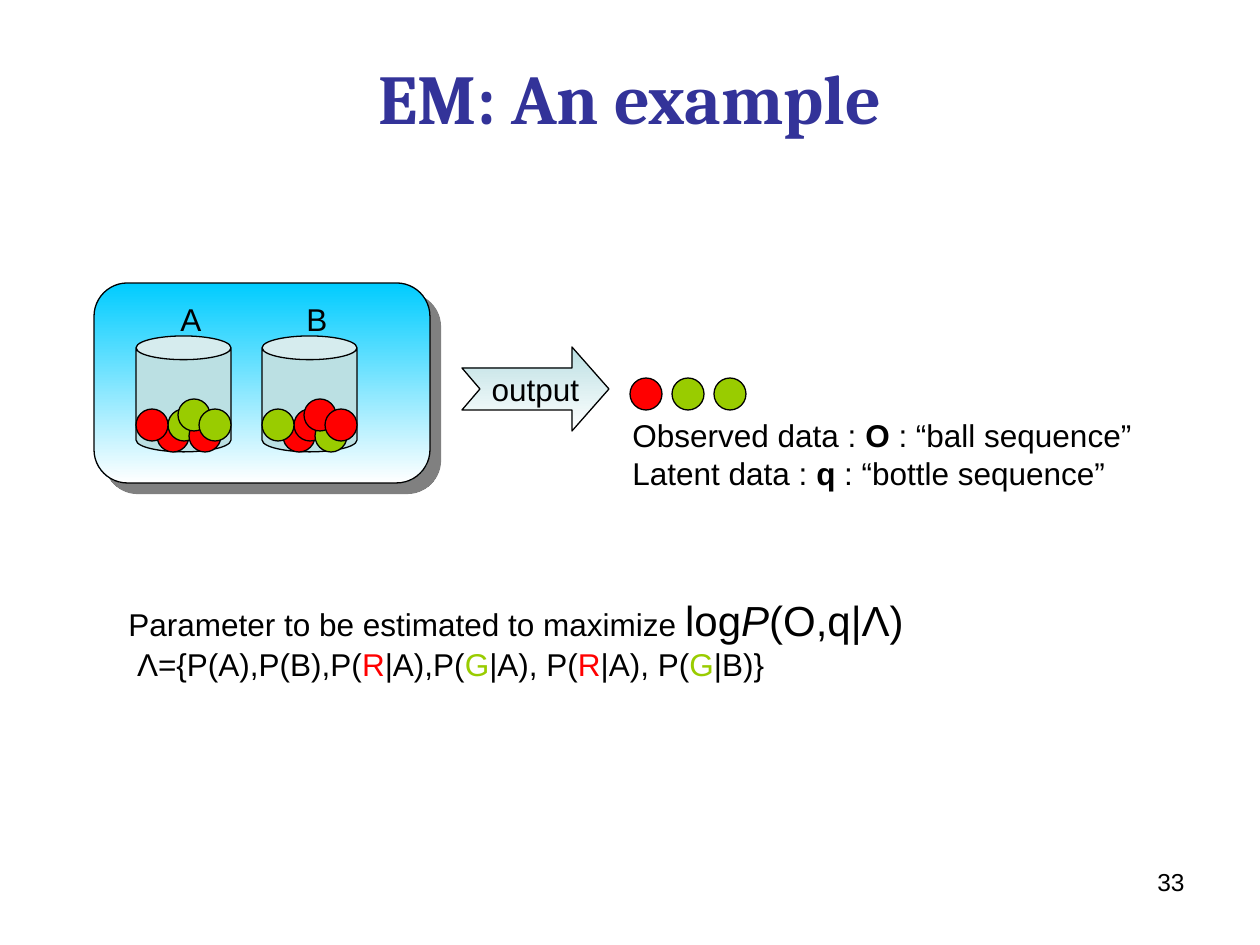
from lxml.etree import SubElement
from pptx import Presentation
from pptx.dml.color import RGBColor
from pptx.enum.shapes import MSO_SHAPE as Kind
from pptx.enum.text import MSO_ANCHOR as Anchor, PP_ALIGN as Align
from pptx.oxml.ns import qn
from pptx.util import Emu, Pt

UNIT = 914400 / 126  # EMU in one px
BLACK, RED, GREEN, TEAL = "000000", "FF0000", "99CC00", "BBE0E3"
BALL = 32

# Balls from back to front: offset in the bottle
PILE = [(21, 84), (32, 73), (53, 84), (0, 73), (42, 63), (63, 73)]
BOTTLES = [
    ("A", [RED, GREEN, RED, RED, GREEN, GREEN]),
    ("B", [RED, RED, GREEN, GREEN, RED, RED]),
]
DRAWN = [RED, GREEN, GREEN]
ARROW = [(462, 368), (572, 368), (572, 347), (609, 389),
         (572, 431), (572, 410), (462, 410), (480, 389)]

# Each line is a list of (text, format) runs
DATA = [
    [("Observed data : ", {}), ("O", {"bold": True}), (" : “ball sequence”", {})],
    [("Latent data : ", {}), ("q", {"bold": True}), (" : “bottle sequence”", {})],
]
BIG = {"size": 24}
GOAL = [[
    ("Parameter to be estimated to maximize ", {}),
    ("log", BIG), ("P", {"size": 24, "italic": True}), ("(O,q|Λ)", BIG),
    ("\n", {}),
    (" Λ={P(A),P(B),P(", {}), ("R", {"color": RED}),
    ("|A),P(", {}), ("G", {"color": GREEN}),
    ("|A), P(", {}), ("R", {"color": RED}),
    ("|A), P(", {}), ("G", {"color": GREEN}), ("|B)}", {}),
]]


def px(num):
    return Emu(round(num * UNIT))


def rgb(code):
    return RGBColor.from_string(code)


def style(run, size=18, font="Arial", color=BLACK, bold=False, italic=False):
    face = run.font
    face.size, face.name = Pt(size), font
    face.bold, face.italic = bold, italic
    face.color.rgb = rgb(color)


def write(frame, text, align=Align.LEFT, anchor=Anchor.TOP, wrap=False, **form):
    """Fill a text frame from a string or from lines of formatted runs."""
    frame.word_wrap, frame.vertical_anchor = wrap, anchor
    lines = [[(text, {})]] if isinstance(text, str) else text
    for num, runs in enumerate(lines):
        para = frame.add_paragraph() if num else frame.paragraphs[0]
        para.alignment = align
        for part, own in runs:
            if part == "\n":
                para.add_line_break()
                continue
            run = para.add_run()
            run.text = part
            style(run, **{**form, **own})


def label(slide, box, text, **form):
    write(slide.shapes.add_textbox(*map(px, box)).text_frame, text, **form)


def paint(shape, *tones):
    """One tone gives a plain fill, two a gradient from top to bottom."""
    shape.shadow.inherit = False
    if len(tones) == 1:
        shape.fill.solid()
        shape.fill.fore_color.rgb = rgb(tones[0])
    else:
        shape.fill.gradient()
        shape.fill.gradient_angle = 270
        for stop, tone, place in zip(shape.fill.gradient_stops, tones, (0, 1)):
            stop.color.rgb, stop.position = rgb(tone), place
    shape.line.color.rgb = rgb(BLACK)
    shape.line.width = Pt(0.75)


def draw(slide, kind, box, *tones):
    shape = slide.shapes.add_shape(kind, *map(px, box))
    paint(shape, *tones)
    return shape


def ball(slide, left, top, tone):
    draw(slide, Kind.OVAL, (left, top, BALL, BALL), tone)


def shade(shape):
    """Cast a hard grey shadow down and to the right."""
    effects = shape._element.spPr.find(qn("a:effectLst"))
    cast = SubElement(effects, qn("a:outerShdw"), dist=str(Pt(8.5)),
                      dir=str(45 * 60000), algn="ctr", rotWithShape="0")
    SubElement(cast, qn("a:srgbClr"), val="808080")


def main():
    deck = Presentation()
    deck.slide_width, deck.slide_height = px(1260), px(945)
    slide = deck.slides.add_slide(deck.slide_layouts[6])

    label(slide, (63, 38, 1134, 117), "EM: An example", align=Align.CENTER,
          anchor=Anchor.MIDDLE, wrap=True, size=40, font="Cambria",
          color="333399", bold=True)

    shade(draw(slide, Kind.ROUNDED_RECTANGLE, (94, 283, 336, 200),
               "00CCFF", "FFFFFF"))
    for num, (name, tones) in enumerate(BOTTLES):
        left, top = 136 + 126 * num, 336
        draw(slide, Kind.CAN, (left, top, 95, 116), TEAL)
        for (dx, dy), tone in zip(PILE, tones):
            ball(slide, left + dx, top + dy, tone)
        label(slide, (left + 32, 294, 45, 50), name)

    path = slide.shapes.build_freeform(*ARROW[0], scale=UNIT)
    path.add_line_segments(ARROW[1:], close=True)
    arrow = path.convert_to_shape()
    paint(arrow, TEAL, "FFFFFF")
    write(arrow.text_frame, "output", align=Align.CENTER, anchor=Anchor.MIDDLE)

    for num, tone in enumerate(DRAWN):
        ball(slide, 630 + 42 * num, 378, tone)

    label(slide, (620, 410, 524, 88), DATA)
    label(slide, (116, 588, 989, 101), GOAL, wrap=True)
    label(slide, (903, 861, 294, 66), "33", align=Align.RIGHT, wrap=True, size=14)
    deck.save("out.pptx")


if __name__ == "__main__":
    main()
